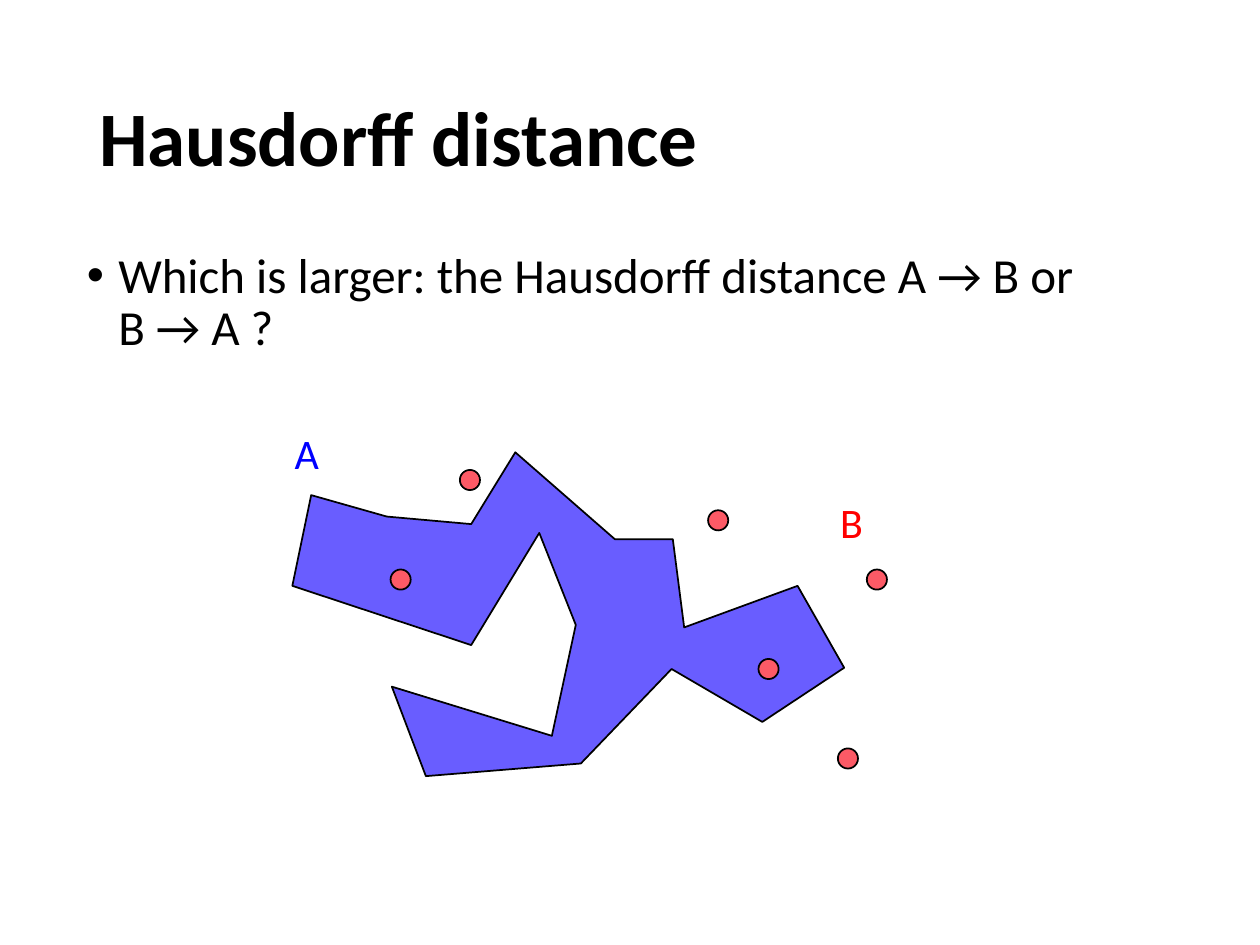
import pptx
import pptx.util
import pptx.dml.color
import pptx.enum.shapes
import pptx.enum.text
import pptx.oxml.ns
import lxml.etree

Inches = pptx.util.Inches
Pt = pptx.util.Pt
RGBColor = pptx.dml.color.RGBColor
MSO_ANCHOR = pptx.enum.text.MSO_ANCHOR

BLACK = RGBColor(0x00, 0x00, 0x00)
BLUE = RGBColor(0x00, 0x00, 0xFF)
RED = RGBColor(0xFF, 0x00, 0x00)
POLYGON_FILL = RGBColor(0x69, 0x5D, 0xFF)
POINT_FILL = RGBColor(0xFC, 0x5A, 0x66)

presentation = pptx.Presentation()
presentation.slide_width = Inches(10)
presentation.slide_height = Inches(7.5)
slide = presentation.slides.add_slide(presentation.slide_layouts[6])


def add_text(text, left, top, width, height, size, color, wrap=True):
    box = slide.shapes.add_textbox(Inches(left), Inches(top), Inches(width), Inches(height))
    box.text_frame.word_wrap = wrap
    paragraph = box.text_frame.paragraphs[0]
    paragraph.text = text
    for run in paragraph.runs:
        run.font.name = "Calibri"
        run.font.size = Pt(size)
        run.font.color.rgb = color
    return box


def style_shape(shape, fill):
    shape.shadow.inherit = False
    shape.fill.solid()
    shape.fill.fore_color.rgb = fill
    shape.line.color.rgb = BLACK
    shape.line.width = Pt(1)


title = add_text("Hausdorff distance", 0.69, 0.4, 8.62, 1.45, 44, BLACK)
title.text_frame.vertical_anchor = MSO_ANCHOR.MIDDLE
title_paragraph = title.text_frame.paragraphs[0]
title_paragraph.line_spacing = 0.9
title_paragraph.runs[0].font.bold = True

question = add_text("Which is larger: the Hausdorff distance A → B or \vB → A ?",
                    0.59, 1.94, 8.62, 1.12, 28, BLACK)
question_paragraph = question.text_frame.paragraphs[0]
question_paragraph.line_spacing = 0.9
question_paragraph.space_before = Pt(10)
properties = question_paragraph._p.get_or_add_pPr()
properties.set("marL", str(Inches(0.25)))
properties.set("indent", str(-Inches(0.25)))
bullet_font = lxml.etree.SubElement(properties, pptx.oxml.ns.qn("a:buFont"))
bullet_font.set("typeface", "Arial")
bullet = lxml.etree.SubElement(properties, pptx.oxml.ns.qn("a:buChar"))
bullet.set("char", "•")

outline = [
    (2.47, 3.93), (2.32, 4.65), (3.74, 5.12), (4.28, 4.23), (4.57, 4.96),
    (4.38, 5.84), (3.11, 5.45), (3.38, 6.16), (4.61, 6.06), (5.33, 5.31),
    (6.05, 5.73), (6.7, 5.3), (6.33, 4.65), (5.43, 4.98), (5.34, 4.28),
    (4.88, 4.28), (4.09, 3.59), (3.74, 4.16), (3.07, 4.1),
]
vertices = [(Inches(x), Inches(y)) for x, y in outline]
builder = slide.shapes.build_freeform(*vertices[0])
builder.add_line_segments(vertices[1:], close=True)
style_shape(builder.convert_to_shape(), POLYGON_FILL)

point_size = Inches(0.16)
for left, top in [(6.02, 5.23), (3.1, 4.52), (5.62, 4.05),
                  (6.88, 4.52), (6.65, 5.94), (3.65, 3.73)]:
    point = slide.shapes.add_shape(pptx.enum.shapes.MSO_SHAPE.OVAL,
                                   Inches(left), Inches(top), point_size, point_size)
    style_shape(point, POINT_FILL)

for name, left, top, width, color in [("A", 2.24, 3.34, 0.4, BLUE),
                                      ("B", 6.57, 3.89, 0.38, RED)]:
    label = add_text(name, left, top, width, 0.5, 24, color, wrap=False)
    label.text_frame.auto_size = pptx.enum.text.MSO_AUTO_SIZE.SHAPE_TO_FIT_TEXT

presentation.save("out.pptx")
